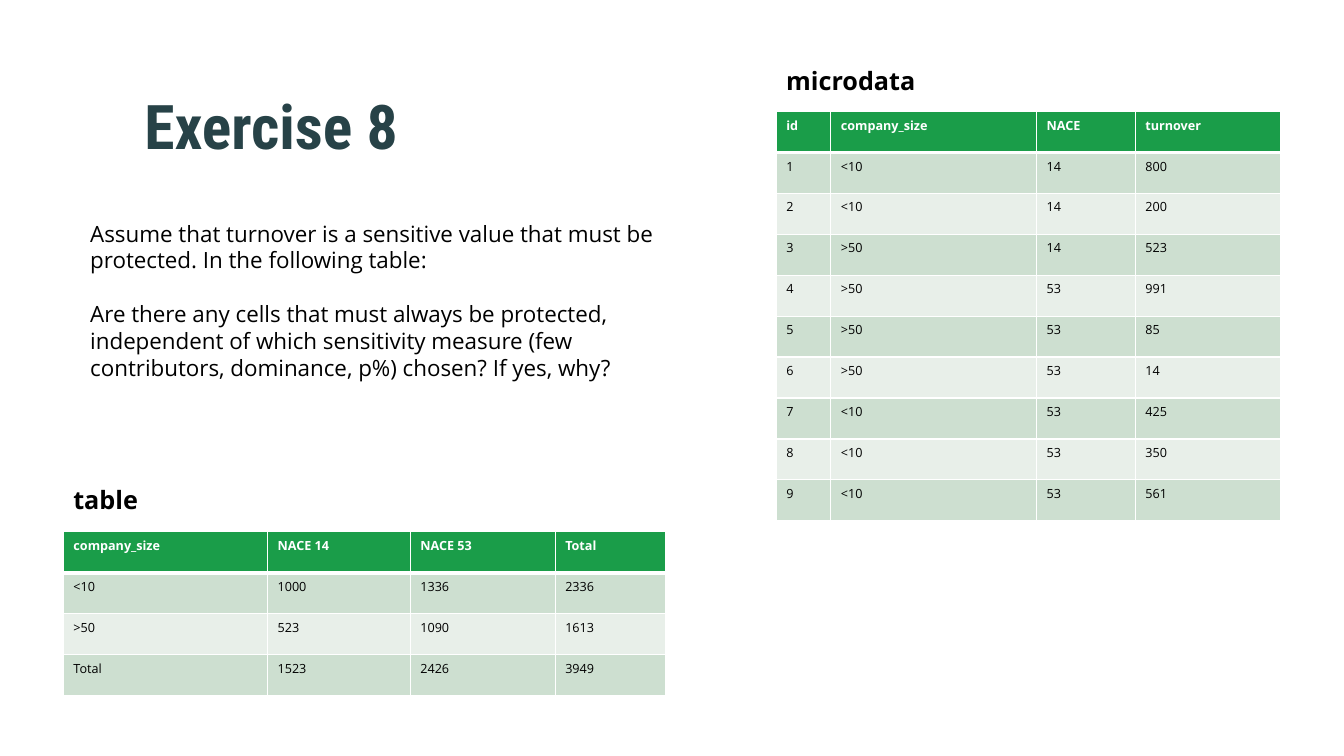
import pptx
import pptx.util
import pptx.dml.color
import pptx.enum.text
import pptx.oxml
import pptx.oxml.ns

Pt = pptx.util.Pt
COLORS = {"title": "274247", "text": "000000", "white": "FFFFFF",
          "header": "1A9D49", "band": "CDDFD0", "plain": "E8EFE9"}
BODY_FONT = "Open Sans"
ROW_HEIGHT = 29.23
MICRODATA = [
    ("id", "company_size", "NACE", "turnover"),
    ("1", "<10", "14", "800"),
    ("2", "<10", "14", "200"),
    ("3", ">50", "14", "523"),
    ("4", ">50", "53", "991"),
    ("5", ">50", "53", "85"),
    ("6", ">50", "53", "14"),
    ("7", "<10", "53", "425"),
    ("8", "<10", "53", "350"),
    ("9", "<10", "53", "561"),
]
TOTALS = [
    ("company_size", "NACE 14", "NACE 53", "Total"),
    ("<10", "1000", "1336", "2336"),
    (">50", "523", "1090", "1613"),
    ("Total", "1523", "2426", "3949"),
]
QUESTION = [
    "Assume that turnover is a sensitive value that must be protected. "
    "In the following table:",
    "Are there any cells that must always be protected, independent of which "
    "sensitivity measure (few contributors, dominance, p%) chosen? If yes, why?",
]


def color(name):
    return pptx.dml.color.RGBColor.from_string(COLORS[name])


def add_span(para, text, size, shade="text", bold=False, font=BODY_FONT):
    span = para.add_run()
    span.text = text
    span.font.name = font
    span.font.size = Pt(size)
    span.font.bold = bold
    span.font.color.rgb = color(shade)


def add_box(page, left, top, width, height):
    box = page.shapes.add_textbox(Pt(left), Pt(top), Pt(width), Pt(height))
    box.text_frame.word_wrap = True
    return box.text_frame


def add_title(page, left, top, width, height):
    frame = add_box(page, left, top, width, height)
    frame.margin_top = 0
    frame.vertical_anchor = pptx.enum.text.MSO_ANCHOR.MIDDLE
    para = frame.paragraphs[0]
    para.line_spacing = 0.9
    add_span(para, "Exercise 8", 44, "title", True, "Roboto Condensed")


def add_question(page, left, top, width, height):
    frame = add_box(page, left, top, width, height)
    first, second = frame.paragraphs[0], frame.add_paragraph()
    second.space_before = Pt(19.2)
    for para, text in zip((first, second), QUESTION):
        add_span(para, text, 16)


def add_borders(cell, bottom_width):
    properties = cell._tc.get_or_add_tcPr()
    widths = {"lnL": 1, "lnR": 1, "lnT": 1, "lnB": bottom_width}
    for position, (side, width) in enumerate(widths.items()):
        line = pptx.oxml.parse_xml(
            f'<a:{side} {pptx.oxml.ns.nsdecls("a")} w="{Pt(width)}"><a:solidFill>'
            f'<a:srgbClr val="{COLORS["white"]}"/></a:solidFill></a:{side}>')
        properties.insert(position, line)


def add_labelled_table(page, left, top, label, label_gap, widths, rows):
    frame = add_box(page, left, top, 150, 29)
    add_span(frame.paragraphs[0], label, 18, bold=True)
    graphic = page.shapes.add_table(
        len(rows), len(widths), Pt(left), Pt(top + label_gap),
        Pt(sum(widths)), Pt(ROW_HEIGHT * len(rows)))
    table = graphic.table
    for column, width in zip(table.columns, widths):
        column.width = Pt(width)
    for row_index, values in enumerate(rows):
        table.rows[row_index].height = Pt(ROW_HEIGHT)
        header = row_index == 0
        shade = "header" if header else "band" if row_index % 2 else "plain"
        for column_index, value in enumerate(values):
            cell = table.cell(row_index, column_index)
            cell.fill.solid()
            cell.fill.fore_color.rgb = color(shade)
            add_borders(cell, 3 if header else 1)
            add_span(cell.text_frame.paragraphs[0], value, 9,
                     "white" if header else "text", header)


def main():
    deck = pptx.Presentation()
    deck.slide_width, deck.slide_height = Pt(960), Pt(540)
    page = deck.slides.add_slide(deck.slide_layouts[6])
    add_title(page, 96, 43, 760, 103)
    add_labelled_table(page, 554.5, 43.2, "microdata", 36.5,
                       (39, 147, 70.5, 103.5), MICRODATA)
    add_labelled_table(page, 45.3, 342.2, "table", 37.7,
                       (145.8, 102, 103.5, 79.2), TOTALS)
    add_question(page, 57.4, 153.4, 451.5, 123.8)
    deck.save("out.pptx")


if __name__ == "__main__":
    main()
